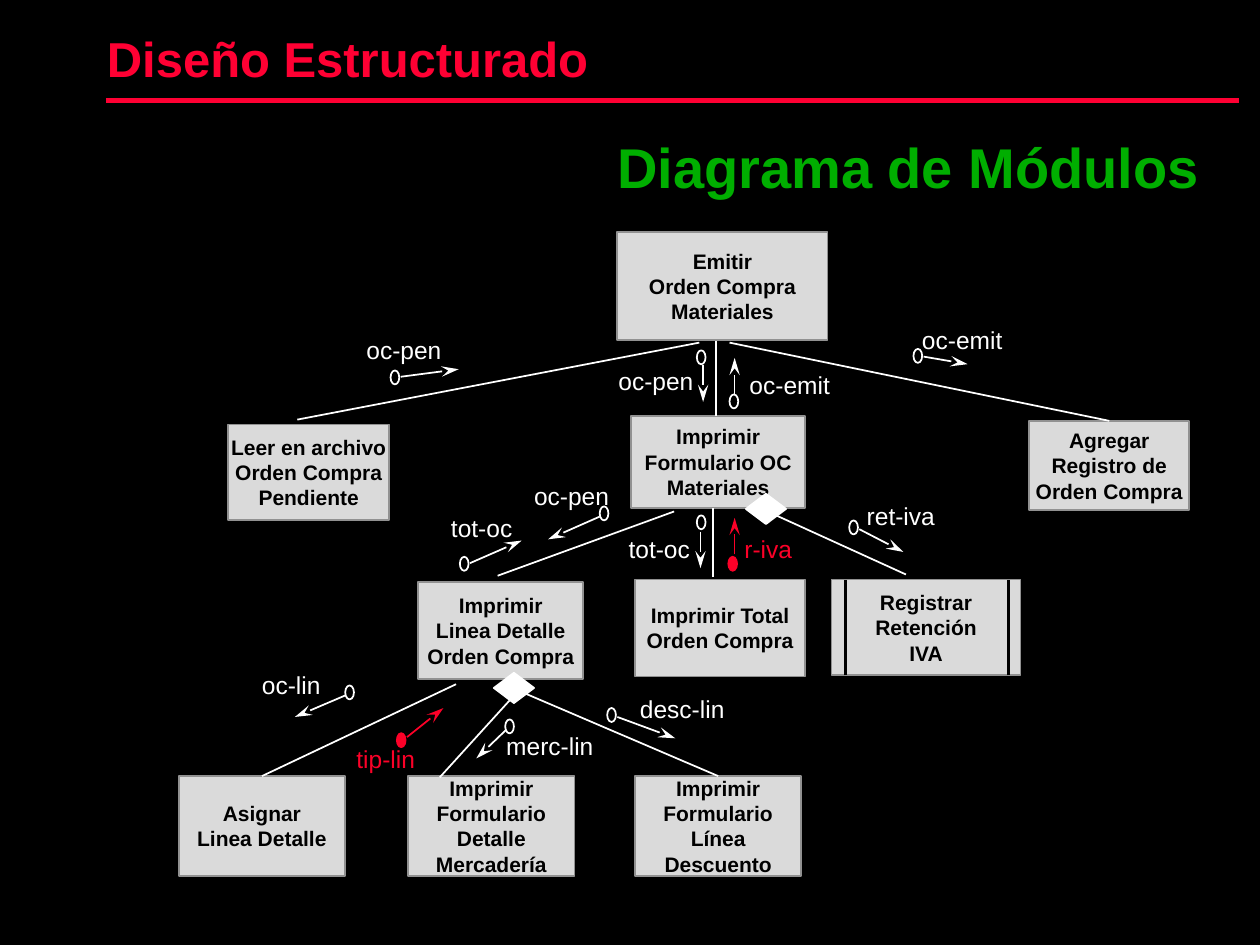
from dataclasses import dataclass
from typing import Optional

from lxml import etree
from pptx import Presentation
from pptx.dml.color import RGBColor
from pptx.enum import shapes, text
from pptx.oxml import ns
from pptx.util import Pt

BLACK, WHITE, GREY, EDGE = "000000", "FFFFFF", "DADADA", "919191"
RED, TITLE_RED, GREEN = "FC0128", "FF0033", "00AE00"
LABEL_H = 23.8
CIRCLE_W, CIRCLE_H = 5, 8
BAR_INSET = 8
ROW_2, ROW_3 = 331.2, 443.5


@dataclass
class Module:
    lines: str
    x: float
    y: float
    w: float
    h: float


@dataclass
class Link:
    x1: float
    y1: float
    x2: float
    y2: float
    child: Optional[str] = None  # module whose top middle the line joins


@dataclass
class Couple:
    """A data or control couple: label, circle and arrow."""
    label: str
    label_at: tuple[float, float]
    label_w: float
    circle: tuple[float, float]
    start: tuple[float, float]
    tip: tuple[float, float]
    control: bool = False


MODULES = {
    "emitir": Module("Emitir\nOrden Compra\nMateriales", 352.8, 132.5, 120.2, 61.9),
    "formulario": Module("Imprimir\nFormulario OC\nMateriales", 360.7, 237.6, 99.4, 52.6),
    "leer": Module("Leer en archivo\nOrden Compra\nPendiente", 130.3, 242.6, 92.2, 54.7),
    "agregar": Module("Agregar\nRegistro de\nOrden Compra", 588.2, 240.5, 91.4, 51.1),
    "detalle": Module("Imprimir\nLinea Detalle\nOrden Compra", 239, 332.6, 94.3, 55.4),
    "total": Module("Imprimir Total\nOrden Compra", 362.9, ROW_2, 97.2, 55.4),
    "registrar": Module("Registrar\nRetención\nIVA", 475.2, ROW_2, 108, 54.7),
    "asignar": Module("Asignar\nLinea Detalle", 102.2, ROW_3, 95, 56.9),
    "mercaderia": Module("Imprimir\nFormulario\nDetalle\nMercadería", 233.3, ROW_3, 95, 56.9),
    "descuento": Module("Imprimir\nFormulario\nLínea\nDescuento", 362.9, ROW_3, 95, 56.9),
}

LINKS = [
    Link(399.6, 195.8, 169.9, 239.8),
    Link(409, 195.1, 409, 237.6),
    Link(416.9, 195.8, 637.2, 239.8, "agregar"),
    Link(385.2, 292.3, 284.4, 329),
    Link(407.5, 290.2, 407.5, 329.8),
    Link(443.5, 294.5, 517.7, 328.3),
    Link(260.6, 391, 149.8, ROW_3, "asignar"),
    Link(293.8, 397.4, 251.3, 444.2),
    Link(299.5, 396, 407.5, ROW_3, "descuento"),
]

DIAMONDS = [(282.2, 384.5), (426.2, 282.2)]

COUPLES = [
    Couple("oc-pen", (202.3, 187.9), 57.6, (223.2, 211.7), (229, 215.3), (262.1, 211)),
    Couple("oc-pen", (346.3, 205.9), 57.6, (398.2, 200.2), (401.8, 208.8), (401.8, 229.7)),
    Couple("oc-emit", (421.2, 208.1), 60.5, (416.9, 225.4), (419.8, 225.4), (419.8, 204.5)),
    Couple("oc-emit", (519.8, 182.2), 60.5, (522, 199.4), (527.8, 203.8), (553, 208.1)),
    Couple("tot-oc", (250.6, 289.4), 49.7, (262.8, 318.2), (268.6, 321.8), (298.1, 308.9)),
    Couple("oc-pen", (298.1, 271.4), 57.6, (342.7, 289.4), (342.7, 295.2), (313.2, 308.2)),
    Couple("tot-oc", (352.1, 301.7), 49.7, (398.2, 294.5), (400.3, 303.8), (400.3, 324.7)),
    Couple("r-iva", (418.3, 301.7), 41.8, (416.2, 318.2), (419.8, 316.8), (419.8, 295.9), True),
    Couple("ret-iva", (488.2, 283), 53.3, (485.3, 297.4), (491, 302.4), (516.2, 315.4)),
    Couple("oc-lin", (142.6, 379.4), 48.2, (197.3, 391.7), (197.3, 397.4), (168.5, 409.7)),
    Couple("tip-lin", (196.6, 421.9), 48.2, (226.8, 419), (232.6, 421.2), (253.4, 404.6), True),
    Couple("merc-lin", (282.2, 414), 64.8, (288.7, 411.1), (289.4, 416.9), (272.2, 433.4)),
    Couple("desc-lin", (358.6, 393.1), 62.6, (347, 404.6), (352.8, 409.7), (385.9, 421.9)),
]


def rgb(value: str) -> RGBColor:
    return RGBColor.from_string(value)


def set_font(p, size: float, color: str, bold: bool = False) -> None:
    p.font.name, p.font.size, p.font.bold = "Arial", Pt(size), bold
    p.font.color.rgb = rgb(color)


def add_text(s, words: str, x: float, y: float, w: float, h: float,
             size: float, color: str, bold: bool = False):
    tf = s.shapes.add_textbox(Pt(x), Pt(y), Pt(w), Pt(h)).text_frame
    tf.word_wrap = False
    tf.auto_size = text.MSO_AUTO_SIZE.SHAPE_TO_FIT_TEXT
    tf.text = words
    set_font(tf.paragraphs[0], size, color, bold)
    return tf


def add_shape(parent, kind, x: float, y: float, w: float, h: float,
              fill: Optional[str], edge: str):
    sp = parent.shapes.add_shape(kind, Pt(x), Pt(y), Pt(w), Pt(h))
    sp.shadow.inherit = False
    if fill:
        sp.fill.solid()
        sp.fill.fore_color.rgb = rgb(fill)
    else:
        sp.fill.background()
    sp.line.color.rgb = rgb(edge)
    sp.line.width = Pt(1)
    return sp


def add_line(parent, x1: float, y1: float, x2: float, y2: float,
             color: str = WHITE, width: float = 1, arrow: bool = False):
    line = parent.shapes.add_connector(shapes.MSO_CONNECTOR.STRAIGHT,
                                       Pt(x1), Pt(y1), Pt(x2), Pt(y2))
    line.line.color.rgb = rgb(color)
    line.line.width = Pt(width)
    if arrow:
        etree.SubElement(line.line._get_or_add_ln(), ns.qn("a:tailEnd"),
                         type="stealth", w="med", len="lg")
    etree.SubElement(line._element.spPr, ns.qn("a:effectLst"))
    return line


def add_module(s, m: Module):
    sp = add_shape(s, shapes.MSO_SHAPE.RECTANGLE, m.x, m.y, m.w, m.h, GREY, EDGE)
    tf = sp.text_frame
    tf.word_wrap = False
    tf.vertical_anchor = text.MSO_ANCHOR.MIDDLE
    tf.margin_left = tf.margin_right = Pt(4.3)
    tf.margin_top = tf.margin_bottom = Pt(2.2)
    tf.text = m.lines
    for p in tf.paragraphs:
        p.alignment = text.PP_ALIGN.CENTER
        set_font(p, 12, BLACK, True)
    return sp


def add_couple(s, c: Couple) -> None:
    color = RED if c.control else WHITE
    add_text(s, c.label, *c.label_at, c.label_w, LABEL_H, 14, color)
    group = s.shapes.add_group_shape()
    add_line(group, *c.start, *c.tip, color, arrow=True)
    add_shape(group, shapes.MSO_SHAPE.OVAL, *c.circle, CIRCLE_W, CIRCLE_H,
              RED if c.control else None, color)


def main() -> None:
    prs = Presentation()
    prs.slide_width, prs.slide_height = Pt(720), Pt(540)
    s = prs.slides.add_slide(prs.slide_layouts[6])
    s.background.fill.solid()
    s.background.fill.fore_color.rgb = rgb(BLACK)

    # Headings
    tf = add_text(s, "Diseño Estructurado", 54, -3, 492, 72, 28, TITLE_RED, True)
    tf.auto_size = text.MSO_AUTO_SIZE.NONE
    tf.word_wrap = True
    tf.vertical_anchor = text.MSO_ANCHOR.MIDDLE
    add_line(s, 60.5, 57.6, 707.8, 57.6, TITLE_RED, 3)
    add_text(s, "Diagrama de Módulos", 345.6, 72, 347.8, 45.4, 32, GREEN, True)

    # Modules and the calls between them
    boxes = {name: add_module(s, m) for name, m in MODULES.items()}
    for k in LINKS:
        line = add_line(s, k.x1, k.y1, k.x2, k.y2)
        if k.child:
            line.end_connect(boxes[k.child], 0)

    # Side bars of the predefined module
    m = MODULES["registrar"]
    for x in (m.x + BAR_INSET, m.x + m.w - BAR_INSET + 1):
        add_line(s, x, m.y + m.h, x, m.y, BLACK, 2)

    # Decision diamonds
    for x, y in DIAMONDS:
        add_shape(s, shapes.MSO_SHAPE.DIAMOND, x, y, 23, 17.3, WHITE, WHITE)

    # Data and control couples
    for c in COUPLES:
        add_couple(s, c)

    prs.save("out.pptx")


if __name__ == "__main__":
    main()
